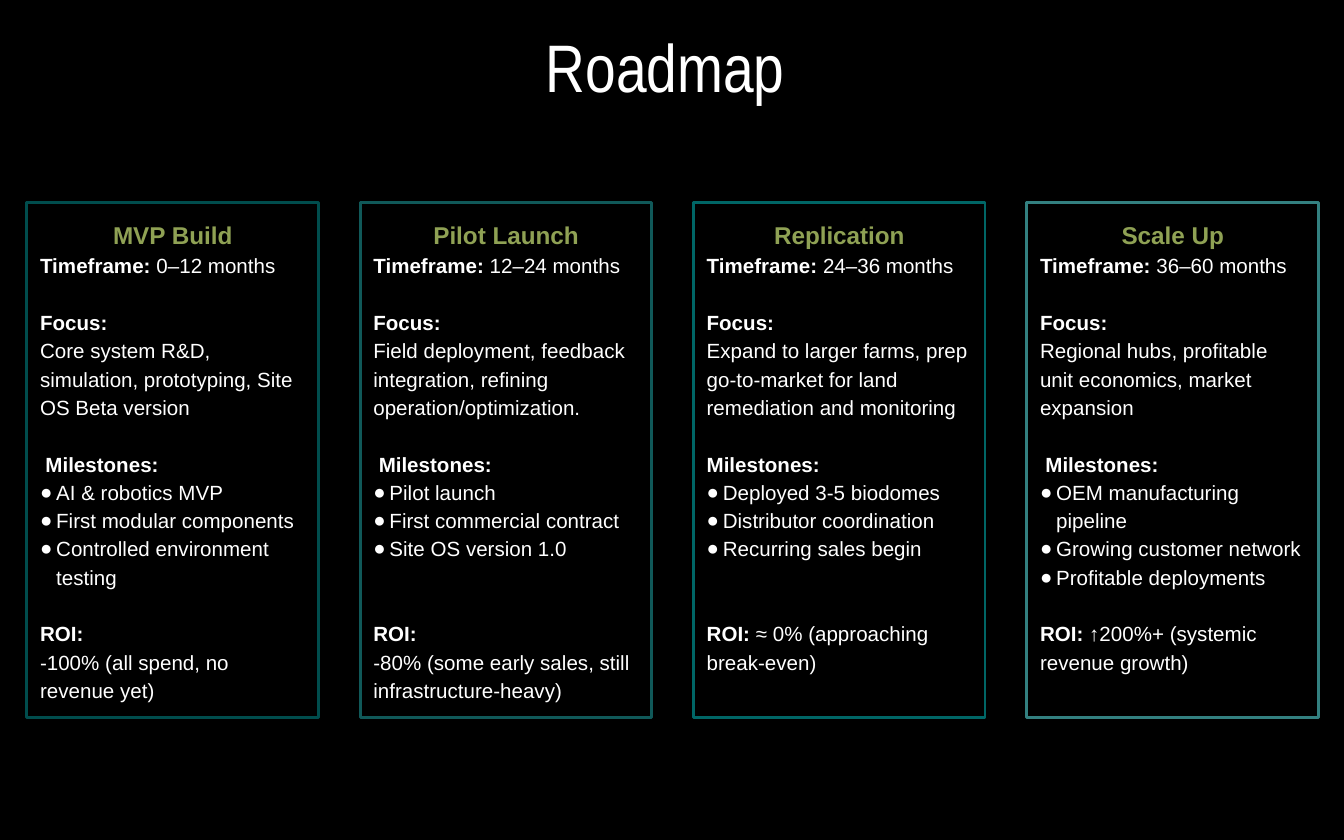
import pptx
import pptx.dml.color
import pptx.enum.shapes
import pptx.enum.text
import pptx.oxml.ns
import pptx.util
from dataclasses import dataclass
from lxml import etree
from pptx.shapes.autoshape import Shape
from pptx.text.text import TextFrame, _Paragraph

SLIDE_W, SLIDE_H = pptx.util.Inches(10), pptx.util.Inches(6.25)
WHITE, OLIVE, BLACK = "FFFFFF", "8FA154", "000000"
LINE_SPACING = 1.15
GAP = 15.15  # points: the height of one body line

# Phase columns, as shares of the slide
FIRST_LEFT, COLUMN_PITCH, COLUMN_W = 0.2 / 10, 2.48 / 10, 2.17 / 10
COLUMN_TOP, COLUMN_H = 1.51 / 6.25, 3.83 / 6.25


@dataclass
class Phase:
    heading: str
    border: str
    timeframe: str
    focus: str
    milestones: list[str]
    roi: str
    roi_beside_label: bool = False
    roi_gap_lines: int = 1
    milestones_indent: float = 0.04


PHASES = [
    Phase("MVP Build", "004D4D", "0–12 months",
          "Core system R&D, simulation, prototyping, Site OS Beta version",
          ["AI & robotics MVP", "First modular components",
           "Controlled environment testing"],
          "-100% (all spend, no revenue yet)"),
    Phase("Pilot Launch", "105959", "12–24 months",
          "Field deployment, feedback integration, refining operation/optimization.",
          ["Pilot launch", "First commercial contract", "Site OS version 1.0"],
          "-80% (some early sales, still infrastructure-heavy)",
          roi_gap_lines=2),
    Phase("Replication", "006666", "24–36 months",
          "Expand to larger farms, prep go-to-market for land remediation and monitoring",
          ["Deployed 3-5 biodomes", "Distributor coordination",
           "Recurring sales begin"],
          "≈ 0% (approaching break-even)",
          roi_beside_label=True, roi_gap_lines=2, milestones_indent=0),
    Phase("Scale Up", "338080", "36–60 months",
          "Regional hubs, profitable unit economics, market expansion",
          ["OEM manufacturing pipeline", "Growing customer network",
           "Profitable deployments"],
          "↑200%+ (systemic revenue growth)", roi_beside_label=True),
]


def color(value: str) -> pptx.dml.color.RGBColor:
    return pptx.dml.color.RGBColor.from_string(value)


def set_insets(frame: TextFrame) -> None:
    frame.word_wrap = True
    frame.auto_size = pptx.enum.text.MSO_AUTO_SIZE.NONE
    frame.vertical_anchor = pptx.enum.text.MSO_ANCHOR.TOP
    inset = pptx.util.Inches(0.1)
    frame.margin_left = frame.margin_right = inset
    frame.margin_top = frame.margin_bottom = inset


def add_run(paragraph: _Paragraph, text: str, size: float = 11, bold: bool = False,
            fill: str = WHITE, font: str = "Arial") -> None:
    run = paragraph.add_run()
    run.text = text
    run.font.size = pptx.util.Pt(size)
    run.font.bold = bold
    run.font.name = font
    run.font.color.rgb = color(fill)


def add_line(frame: TextFrame, gap_lines: int = 0, centered: bool = False) -> _Paragraph:
    first = frame.paragraphs[0]
    line = frame.add_paragraph() if first.runs else first
    line.line_spacing = LINE_SPACING
    line.space_before = pptx.util.Pt(gap_lines * GAP)
    align = pptx.enum.text.PP_ALIGN
    line.alignment = align.CENTER if centered else align.LEFT
    return line


def set_indent(paragraph: _Paragraph, left: float, first: float = 0) -> None:
    properties = paragraph._p.get_or_add_pPr()
    properties.set("marL", str(pptx.util.Inches(left)))
    properties.set("indent", str(pptx.util.Inches(first)))


def add_bullet(paragraph: _Paragraph) -> None:
    set_indent(paragraph, 0.12, -0.14)
    properties = paragraph._p.get_or_add_pPr()
    qn = pptx.oxml.ns.qn
    bullet_color = etree.SubElement(properties, qn("a:buClr"))
    etree.SubElement(bullet_color, qn("a:srgbClr"), val=WHITE)
    etree.SubElement(properties, qn("a:buFont"), typeface="Arial")
    etree.SubElement(properties, qn("a:buChar"), char="●")


def write_phase(frame: TextFrame, phase: Phase) -> None:
    add_run(add_line(frame, centered=True), phase.heading, 13, True, OLIVE)

    timeframe = add_line(frame)
    add_run(timeframe, "Timeframe:", bold=True)
    add_run(timeframe, f" {phase.timeframe}")

    add_run(add_line(frame, 1), "Focus:", bold=True)
    add_run(add_line(frame), phase.focus)

    milestones_label = add_line(frame, 1)
    set_indent(milestones_label, phase.milestones_indent)
    add_run(milestones_label, "Milestones:", bold=True)
    for milestone in phase.milestones:
        item = add_line(frame)
        add_bullet(item)
        add_run(item, milestone)

    roi = add_line(frame, phase.roi_gap_lines)
    add_run(roi, "ROI:", bold=True)
    if phase.roi_beside_label:
        add_run(roi, f" {phase.roi}")
    else:
        add_run(add_line(frame), phase.roi)


def add_phase(slide: pptx.slide.Slide, column: int, phase: Phase) -> Shape:
    box = slide.shapes.add_shape(
        pptx.enum.shapes.MSO_SHAPE.RECTANGLE,
        int(SLIDE_W * (FIRST_LEFT + column * COLUMN_PITCH)), int(SLIDE_H * COLUMN_TOP),
        int(SLIDE_W * COLUMN_W), int(SLIDE_H * COLUMN_H))
    box.shadow.inherit = False
    box.fill.background()
    box.line.color.rgb = color(phase.border)
    box.line.width = pptx.util.Pt(1.5)
    set_insets(box.text_frame)
    write_phase(box.text_frame, phase)
    return box


def main() -> None:
    deck = pptx.Presentation()
    deck.slide_width, deck.slide_height = SLIDE_W, SLIDE_H
    slide = deck.slides.add_slide(deck.slide_layouts[5])
    slide.background.fill.solid()
    slide.background.fill.fore_color.rgb = color(BLACK)

    # Title
    title = slide.shapes.title
    title.left, title.top = 0, 0
    title.width, title.height = int(SLIDE_W * 0.99), int(SLIDE_H * 0.13)
    set_insets(title.text_frame)
    add_run(add_line(title.text_frame, centered=True), "Roadmap", 36, font="Arial Narrow")

    # Phases
    for column, phase in enumerate(PHASES):
        add_phase(slide, column, phase)

    deck.save("out.pptx")


if __name__ == "__main__":
    main()
